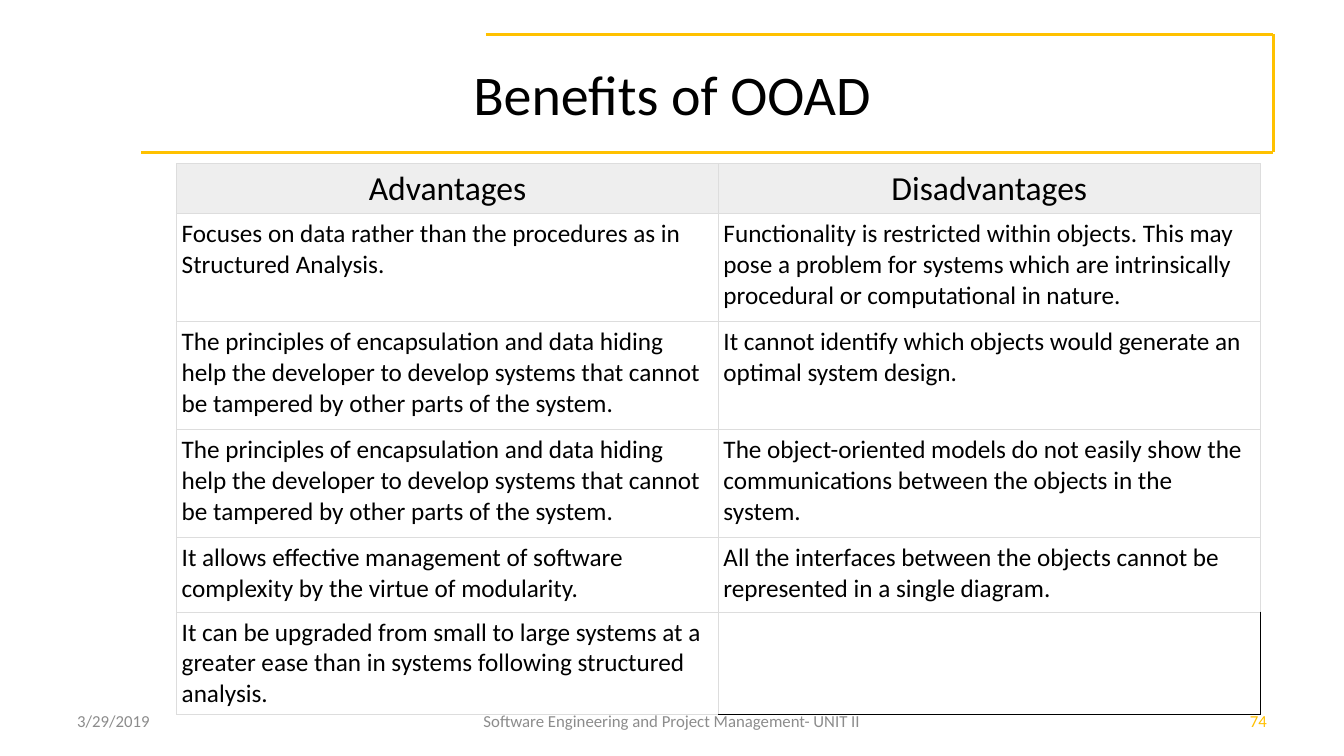
from dataclasses import dataclass

from lxml.etree import SubElement
from pptx import Presentation
from pptx.dml.color import RGBColor
from pptx.enum.shapes import MSO_CONNECTOR as Connector
from pptx.enum.text import MSO_ANCHOR as Anchor, PP_ALIGN as Align
from pptx.oxml.ns import qn
from pptx.slide import Slide
from pptx.table import _Cell as Cell
from pptx.text.text import TextFrame
from pptx.util import Pt

BLACK, GREY, GOLD = "000000", "8C8C8C", "FFC000"
FRAME_GOLD, CELL_LINE, HEADER_FILL = "FFC100", "DDDDDD", "EEEEEE"


@dataclass
class Rule:
    start: tuple[float, float]
    end: tuple[float, float]


@dataclass
class Footer:
    text: str
    left: float
    width: float
    align: Align
    colour: str = GREY


@dataclass
class Border:
    colour: str = CELL_LINE
    width: float = 0.75


FRAME = [
    Rule((347, 24.5), (909.4, 24.5)),
    Rule((909.4, 24.5), (909.4, 108.7)),
    Rule((909.4, 108.7), (100.8, 108.7)),
]
FOOTERS = [
    Footer("3/29/2019", 48, 224, Align.LEFT),
    Footer("Software Engineering and Project Management- UNIT II", 328, 304, Align.CENTER),
    Footer("74", 688, 224, Align.RIGHT, GOLD),
]
ENCAPSULATION = (
    "The principles of encapsulation and data hiding help the developer "
    "to develop systems that cannot be tampered by other parts of the system."
)
ROWS = [
    (36, "Advantages", "Disadvantages"),
    (77, "Focuses on data rather than the procedures as in Structured Analysis.",
     "Functionality is restricted within objects. This may pose a problem for systems "
     "which are intrinsically procedural or computational in nature."),
    (77, ENCAPSULATION,
     "It cannot identify which objects would generate an optimal system design."),
    (77, ENCAPSULATION,
     "The object-oriented models do not easily show the communications "
     "between the objects in the system."),
    (53.5, "It allows effective management of software complexity by the virtue of modularity.",
     "All the interfaces between the objects cannot be represented in a single diagram."),
    (73, "It can be upgraded from small to large systems at a greater ease "
     "than in systems following structured analysis.", ""),
]


def colour_of(value: str) -> RGBColor:
    return RGBColor.from_string(value)


def write(frame: TextFrame, text: str, size: float, colour: str, align: Align) -> None:
    frame.text = text
    para = frame.paragraphs[0]
    para.alignment = align
    for name, value in {"name": "Calibri", "size": Pt(size), "bold": False}.items():
        setattr(para.font, name, value)
    para.font.color.rgb = colour_of(colour)


def draw_rule(page: Slide, rule: Rule) -> None:
    line = page.shapes.add_connector(
        Connector.STRAIGHT, *(Pt(value) for value in rule.start + rule.end))
    line.line.color.rgb = colour_of(FRAME_GOLD)
    line.line.width = Pt(2)
    SubElement(line._element.spPr, qn("a:effectLst"))


def draw_title(page: Slide, text: str) -> None:
    title = page.shapes.title
    place = {"left": 48, "top": 21.6, "width": 864, "height": 90}
    for name, value in place.items():
        setattr(title, name, Pt(value))
    title.text_frame.vertical_anchor = Anchor.MIDDLE
    write(title.text_frame, text, 40, BLACK, Align.CENTER)


def draw_footer(page: Slide, footer: Footer) -> None:
    box = page.shapes.add_textbox(Pt(footer.left), Pt(500.5), Pt(footer.width), Pt(28.8))
    box.text_frame.word_wrap = True
    box.text_frame.vertical_anchor = Anchor.MIDDLE
    write(box.text_frame, footer.text, 12, footer.colour, footer.align)


def outline(cell: Cell, borders: dict[str, Border]) -> None:
    properties = cell._tc.get_or_add_tcPr()
    for side in ("lnL", "lnR", "lnT", "lnB"):
        border = borders.get(side, Border())
        line = SubElement(properties, qn(f"a:{side}"), w=str(int(Pt(border.width))))
        fill = SubElement(line, qn("a:solidFill"))
        SubElement(fill, qn("a:srgbClr"), val=border.colour)


def draw_table(page: Slide) -> None:
    height = sum(row[0] for row in ROWS)
    table = page.shapes.add_table(
        len(ROWS), 2, Pt(126.2), Pt(116.8), Pt(774), Pt(height)).table
    table.first_row = table.horz_banding = False
    for index, (row_height, *texts) in enumerate(ROWS):
        table.rows[index].height = Pt(row_height)
        for column, text in enumerate(texts):
            cell = table.cell(index, column)
            for side in ("left", "right", "top", "bottom"):
                setattr(cell, f"margin_{side}", Pt(3.6))
            black = Border(BLACK, 1)
            outline(cell, {} if text else {"lnR": black, "lnB": black})
            if index == 0:
                cell.fill.solid()
                cell.fill.fore_color.rgb = colour_of(HEADER_FILL)
                write(cell.text_frame, text, 24, BLACK, Align.CENTER)
            else:
                cell.fill.background()
                write(cell.text_frame, text, 18, BLACK, Align.LEFT)


def main() -> None:
    deck = Presentation()
    deck.slide_width, deck.slide_height = Pt(960), Pt(540)
    page = deck.slides.add_slide(deck.slide_layouts[5])
    for rule in FRAME:
        draw_rule(page, rule)
    draw_title(page, "Benefits of OOAD")
    for footer in FOOTERS:
        draw_footer(page, footer)
    draw_table(page)
    deck.save("out.pptx")


if __name__ == "__main__":
    main()
